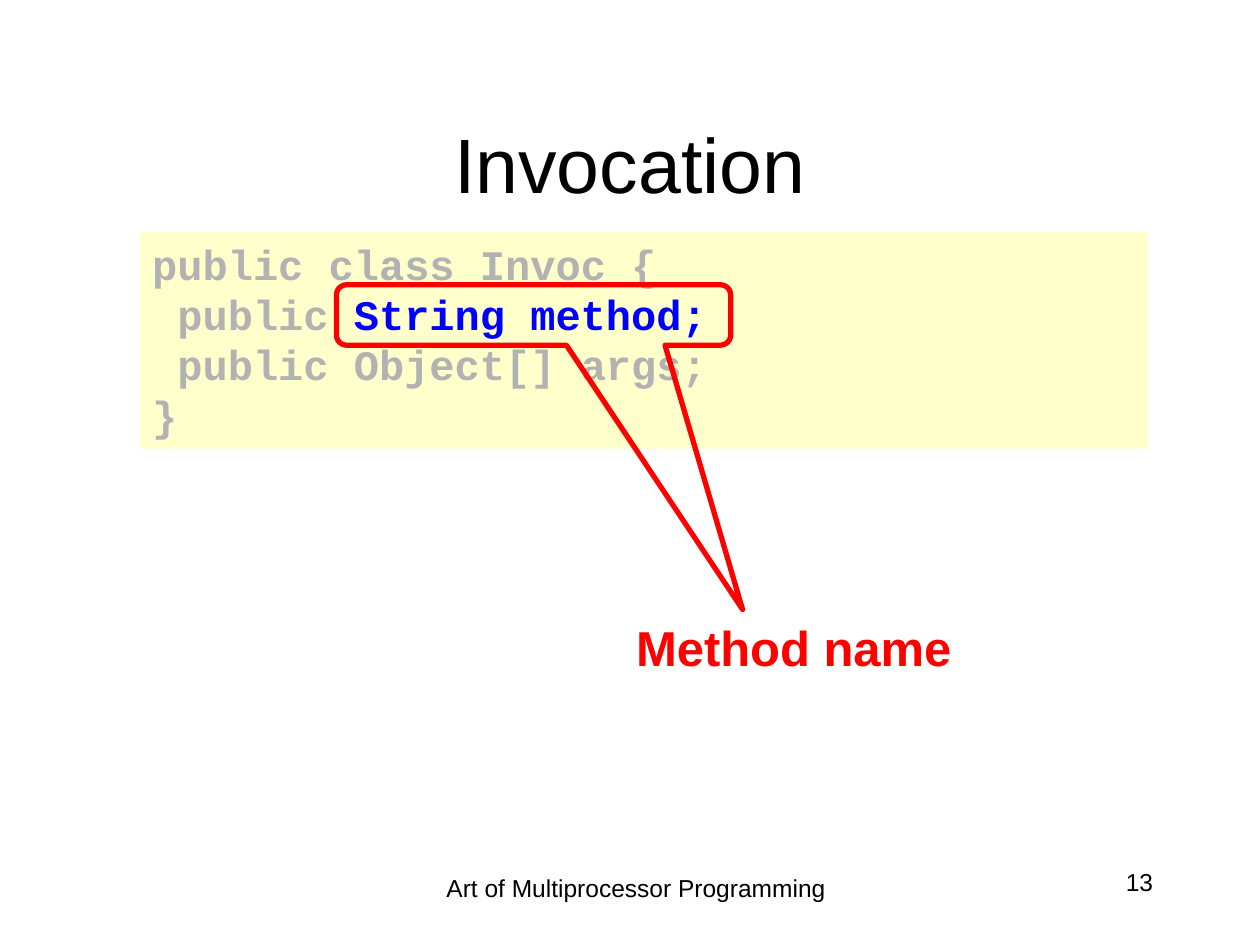
from pptx import Presentation
from pptx.dml.color import RGBColor as Rgb
from pptx.enum.shapes import MSO_SHAPE as Shape
from pptx.enum.text import MSO_ANCHOR as Anchor, PP_ALIGN as Align
from pptx.util import Inches, Pt

COLORS = {
    "black": "000000",
    "red": "FF0000",
    "blue": "0000FF",
    "gray": "B2B2B2",
    "cream": "FFFFCC",
}


class InvocationSlide:
    body_font = "Arial"
    code_font = "Courier New"

    def __init__(self, deck):
        self.page = deck.slides.add_slide(deck.slide_layouts[5])

    def color(self, name):
        return Rgb.from_string(COLORS[name])

    def place(self, box, area):
        for name, value in zip(("left", "top", "width", "height"), area):
            setattr(box, name, Inches(value))

    def span(self, para, text, size, color="black", font=body_font, bold=False):
        span = para.add_run()
        span.text = text
        formats = {"name": font, "size": Pt(size), "bold": bold}
        for name, value in formats.items():
            setattr(span.font, name, value)
        span.font.color.rgb = self.color(color)

    def title(self, text, area):
        box = self.page.shapes.title
        self.place(box, area)
        box.text_frame.vertical_anchor = Anchor.MIDDLE
        para = box.text_frame.paragraphs[0]
        para.alignment = Align.CENTER
        self.span(para, text, 44)

    def label(self, text, area, size, align=Align.CENTER, **style):
        box = self.page.shapes.add_textbox(*map(Inches, area))
        box.text_frame.word_wrap = True
        para = box.text_frame.paragraphs[0]
        para.alignment = align
        self.span(para, text, size, **style)

    def code(self, lines, area):
        box = self.page.shapes.add_shape(Shape.RECTANGLE, *map(Inches, area))
        box.shadow.inherit = False
        box.fill.solid()
        box.fill.fore_color.rgb = self.color("cream")
        box.line.fill.background()
        frame = box.text_frame
        frame.word_wrap = True
        frame.vertical_anchor = Anchor.TOP
        for index, line in enumerate(lines):
            para = frame.add_paragraph() if index else frame.paragraphs[0]
            para.alignment = Align.LEFT
            para.line_spacing = Pt(28.8)
            for text, color in line:
                self.span(para, text, 24, color, self.code_font, True)

    def callout(self, area, adjustments):
        box = self.page.shapes.add_shape(
            Shape.ROUNDED_RECTANGULAR_CALLOUT, *map(Inches, area))
        box.shadow.inherit = False
        box.fill.background()
        box.line.color.rgb = self.color("red")
        box.line.width = Pt(3)
        for index, value in enumerate(adjustments):
            box.adjustments[index] = value


def main():
    deck = Presentation()
    deck.slide_width, deck.slide_height = Inches(10), Inches(7.5)
    slide = InvocationSlide(deck)
    slide.title("Invocation", (0.75, 0.67, 8.5, 1.25))
    slide.code([
        [("public class Invoc {", "gray")],
        [(" public", "gray"), (" String method;", "blue")],
        [(" public Object[] args;", "gray")],
        [("}", "gray")],
    ], (1.11, 1.84, 8, 1.72))
    slide.callout((2.67, 2.26, 3.13, 0.48), (0.53, 4.87, 0.17))
    slide.label("Method name", (3.47, 4.85, 5.66, 0.57), 28,
                color="red", bold=True)
    slide.label("13", (7.17, 6.83, 2.08, 0.5), 14, Align.RIGHT)
    slide.label("Art of Multiprocessor Programming",
                (3.23, 6.88, 3.64, 0.5), 14)
    deck.save("out.pptx")


if __name__ == "__main__":
    main()
